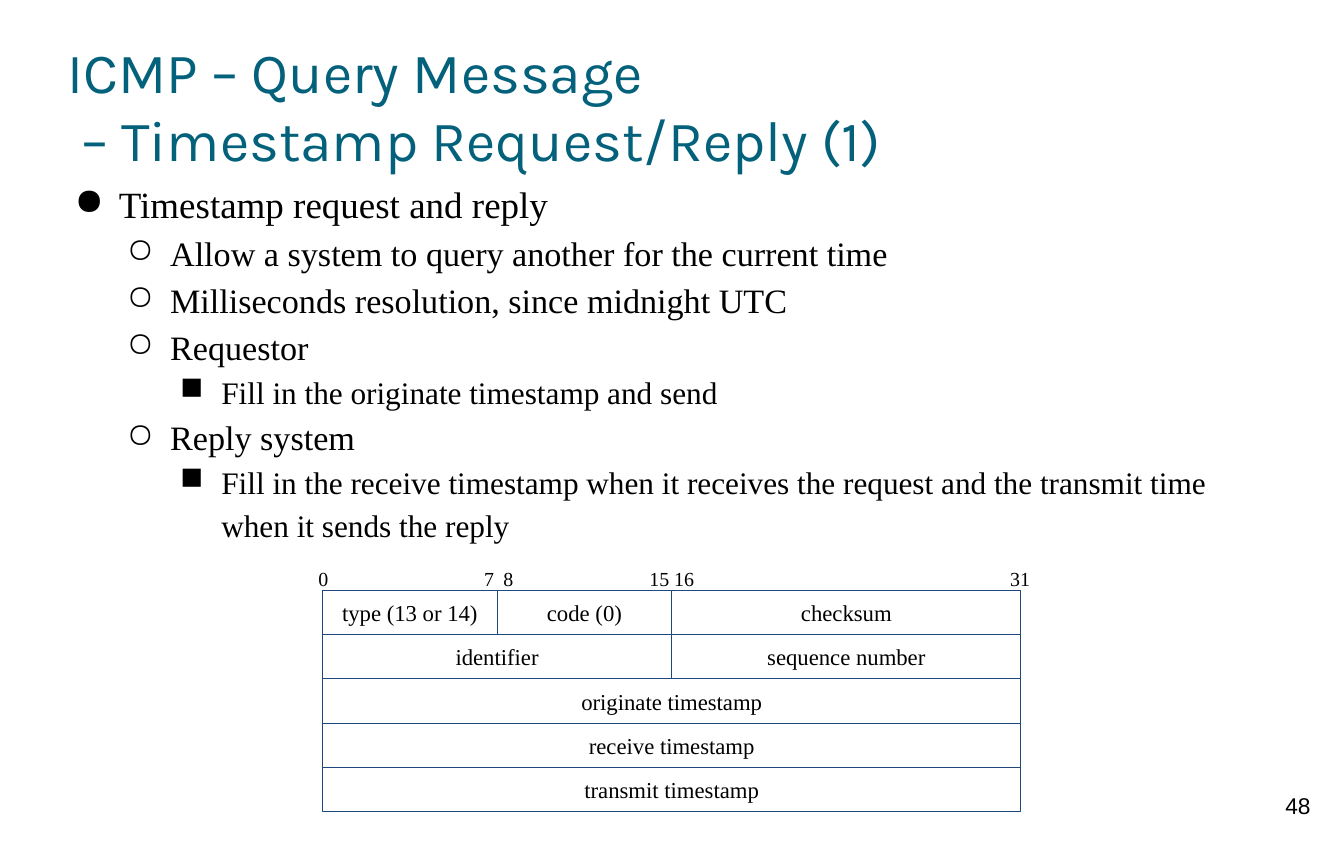
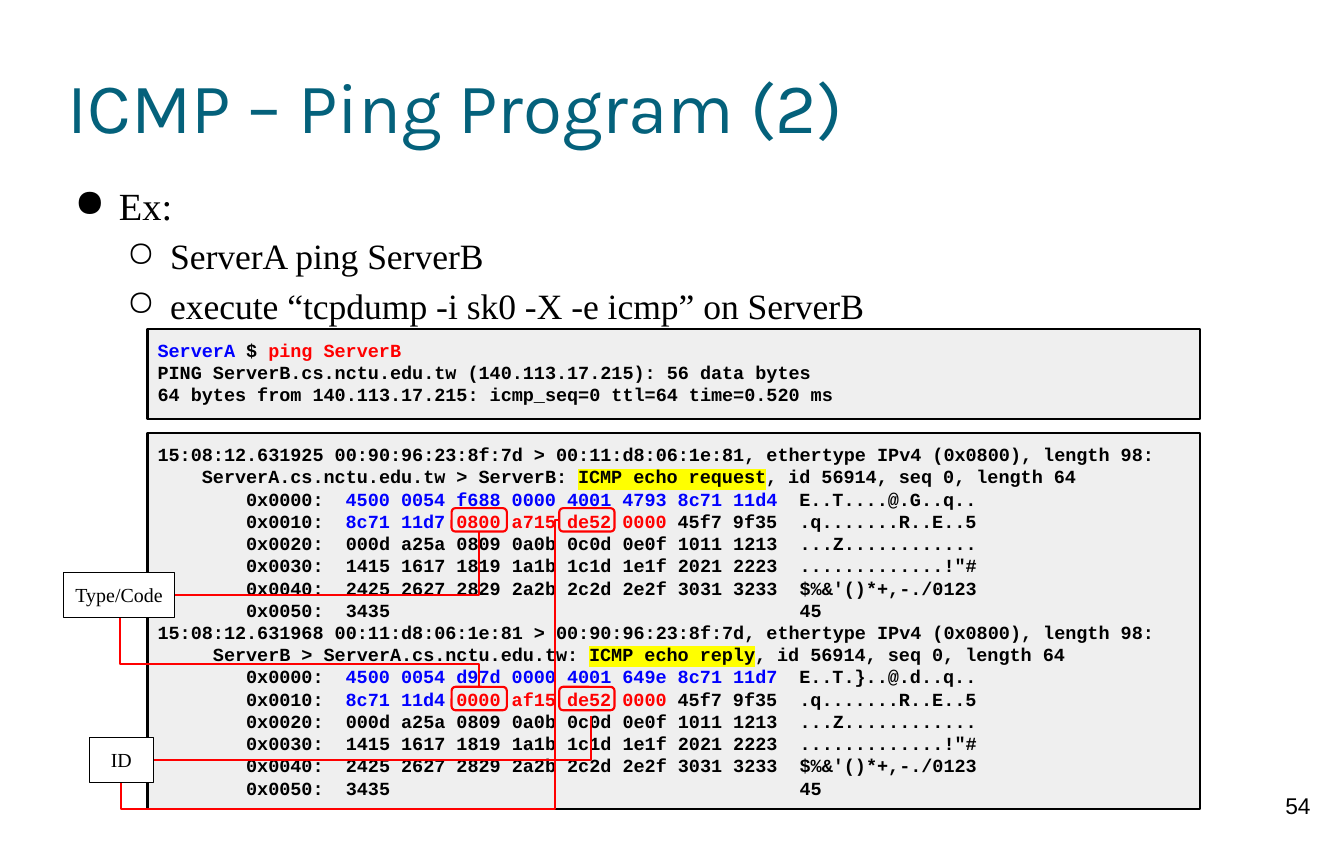
"""Builds two slides about ICMP timestamp messages and the ping program."""
from dataclasses import dataclass
from typing import NamedTuple, Optional

from lxml.etree import SubElement
from pptx import Presentation
from pptx.dml.color import RGBColor
from pptx.enum.shapes import MSO_CONNECTOR, MSO_SHAPE
from pptx.enum.text import MSO_ANCHOR, PP_ALIGN
from pptx.oxml.ns import qn
from pptx.util import Cm, Pt

BLACK, WHITE, TEAL, NAVY = "000000", "FFFFFF", "04617B", "1F497D"
RED, BLUE, YELLOW, GREY = "FF0000", "0000FF", "FFFF00", "EFEFEF"
SERIF, MONO, SANS, DISPLAY = "Times New Roman", "Courier New", "Arial", "Karla"
INSET = 0.25
DIAGRAM_LEFT, DIAGRAM_TOP, BIT_WIDTH, ROW_HEIGHT = 8.0, 14.63, 17.32 / 32, 1.1


class Area(NamedTuple):
    left: float
    top: float
    width: float
    height: float

    def lengths(self):
        return [Cm(value) for value in self]


class Span(NamedTuple):
    text: str
    color: str = BLACK
    highlight: Optional[str] = None


class Level(NamedTuple):
    bullet: str
    margin: float
    indent: float


class Item(NamedTuple):
    level: int
    text: str


class Field(NamedTuple):
    row: int
    first_bit: int
    bits: int
    text: str


class BitLabel(NamedTuple):
    center: float
    text: str


class Tag(NamedTuple):
    area: Area
    text: str


@dataclass(frozen=True)
class Style:
    font: str
    size: float
    color: str = BLACK
    bold: bool = False
    align: PP_ALIGN = PP_ALIGN.LEFT
    line_spacing: Optional[float] = None


@dataclass(frozen=True)
class Packet:
    heading: str
    route: str
    kind: str
    first_words: str
    first_ascii: str
    addresses: str
    icmp_words: str


@dataclass(frozen=True)
class Bend:
    area: Area
    preset: str
    rotation: int = 0
    flip: Optional[str] = None
    adjustments: tuple = ()


LEVELS = [Level("●", 1.27, -1.1), Level("○", 2.54, -1.07), Level("■", 3.81, -1.02)]
FIELD_STYLE = Style(SERIF, 16, align=PP_ALIGN.CENTER)
LABEL_STYLE = Style(SERIF, 14, align=PP_ALIGN.CENTER)
CODE_STYLE = Style(MONO, 13, bold=True)
NUMBER_STYLE = Style(SANS, 16, align=PP_ALIGN.CENTER)

TIMESTAMP_ITEMS = [
    Item(0, "Timestamp request and reply"),
    Item(1, "Allow a system to query another for the current time"),
    Item(1, "Milliseconds resolution, since midnight UTC"),
    Item(1, "Requestor"),
    Item(2, "Fill in the originate timestamp and send"),
    Item(1, "Reply system"),
    Item(2, "Fill in the receive timestamp when it receives the request and the transmit time "
            "when it sends the reply"),
]
PING_ITEMS = [
    Item(0, "Ex:"),
    Item(1, "ServerA ping ServerB"),
    Item(1, "execute “tcpdump -i sk0 -X -e icmp” on ServerB"),
]
FIELDS = [
    Field(0, 0, 8, "type (13 or 14)"),
    Field(0, 8, 8, "code (0)"),
    Field(0, 16, 16, "checksum"),
    Field(1, 0, 16, "identifier"),
    Field(1, 16, 16, "sequence number"),
    Field(2, 0, 32, "originate timestamp"),
    Field(3, 0, 32, "receive timestamp"),
    Field(4, 0, 32, "transmit timestamp"),
]
BIT_LABELS = [BitLabel(8.02, "0"), BitLabel(12.13, "7"), BitLabel(12.61, "8"),
              BitLabel(16.66, "15 16"), BitLabel(25.3, "31")]
PING_LINES = [
    [Span("ServerA ", BLUE), Span("$ "), Span("ping ServerB", RED)],
    [Span("PING ServerB.cs.nctu.edu.tw (140.113.17.215): 56 data bytes")],
    [Span("64 bytes from 140.113.17.215: icmp_seq=0 ttl=64 time=0.520 ms")],
]
PACKETS = [
    Packet("15:08:12.631925 00:90:96:23:8f:7d > 00:11:d8:06:1e:81",
           "    ServerA.cs.nctu.edu.tw > ServerB: ", "ICMP echo request",
           "4500 0054 f688 0000 4001 4793 8c71 11d4", "E..T....@.G..q..",
           "8c71 11d7 ", "0800 a715 de52 0000"),
    Packet("15:08:12.631968 00:11:d8:06:1e:81 > 00:90:96:23:8f:7d",
           "     ServerB > ServerA.cs.nctu.edu.tw: ", "ICMP echo reply",
           "4500 0054 d97d 0000 4001 649e 8c71 11d7", "E..T.}..@.d..q..",
           "8c71 11d4 ", "0000 af15 de52 0000"),
]
PAYLOAD = [
    "        0x0020:  000d a25a 0809 0a0b 0c0d 0e0f 1011 1213  ...Z............",
    "        0x0030:  1415 1617 1819 1a1b 1c1d 1e1f 2021 2223  .............!\"#",
    "        0x0040:  2425 2627 2829 2a2b 2c2d 2e2f 3031 3233  $%&'()*+,-./0123",
    "        0x0050:  3435                                     45",
]
BENDS = [
    Bend(Area(4.34, 13.18, 7.54, 1.57), "bentConnector2", flip="flipV"),
    Bend(Area(6.58, 11.71, 1.7, 8.92), "bentConnector3", 270, "flipH", (0.67,)),
    Bend(Area(8.69, 12.88, 1.09, 10.85), "bentConnector2", 90),
    Bend(Area(3.0, 12.9, 10.87, 6.5), "bentConnector4", 180, "flipV", (0.01, 1.1)),
]
TAGS = [Tag(Area(1.57, 14.2, 2.77, 1.12), "Type/Code"), Tag(Area(2.21, 18.29, 1.6, 1.12), "ID")]


def rgb(color: str) -> RGBColor:
    return RGBColor.from_string(color)


def style_paragraph(paragraph, style: Style) -> None:
    paragraph.alignment = style.align
    if style.line_spacing:
        paragraph.line_spacing = style.line_spacing
    font = paragraph.font
    font.name, font.size, font.bold = style.font, Pt(style.size), style.bold
    font.color.rgb = rgb(style.color)


def add_span(paragraph, span: Span) -> None:
    run = paragraph.add_run()
    run.text = span.text
    if span.color != BLACK or span.highlight:
        run.font.color.rgb = rgb(span.color)
    if span.highlight:
        highlight = SubElement(run.font._element, qn("a:highlight"))
        SubElement(highlight, qn("a:srgbClr"), val=span.highlight)


def fill_text(box, lines: list, style: Style, inset: float = INSET,
              anchor=MSO_ANCHOR.TOP, wrap: bool = True) -> None:
    frame = box.text_frame
    frame.word_wrap, frame.vertical_anchor = wrap, anchor
    frame.margin_left = frame.margin_right = Cm(inset)
    frame.margin_top = frame.margin_bottom = Cm(inset)
    for index, spans in enumerate(lines):
        paragraph = frame.add_paragraph() if index else frame.paragraphs[0]
        style_paragraph(paragraph, style)
        for span in spans:
            add_span(paragraph, span)


def add_shape(page, area: Area, line: str, weight: float, fill: Optional[str] = None,
              preset=MSO_SHAPE.RECTANGLE):
    shape = page.shapes.add_shape(preset, *area.lengths())
    shape.shadow.inherit = False
    shape.line.color.rgb, shape.line.width = rgb(line), Pt(weight)
    if fill:
        shape.fill.solid()
        shape.fill.fore_color.rgb = rgb(fill)
    else:
        shape.fill.background()
    return shape


def add_bend(page, bend: Bend) -> None:
    left, top, width, height = bend.area.lengths()
    connector = page.shapes.add_connector(MSO_CONNECTOR.ELBOW, left, top, left + width, top + height)
    connector.line.color.rgb, connector.line.width = rgb(RED), Pt(1.5)
    properties = connector._element.spPr
    SubElement(properties, qn("a:effectLst"))
    transform = properties.find(qn("a:xfrm"))
    transform.set("rot", str(bend.rotation * 60000))
    if bend.flip:
        transform.set(bend.flip, "1")
    geometry = properties.find(qn("a:prstGeom"))
    geometry.set("prst", bend.preset)
    for number, value in enumerate(bend.adjustments, 1):
        SubElement(geometry.find(qn("a:avLst")), qn("a:gd"), name=f"adj{number}",
                   fmla=f"val {round(value * 100000)}")


def add_bullets(page, items: list, sizes: list, height: float) -> None:
    box = page.shapes.add_textbox(*Area(1.68, 4.34, 30.07, height).lengths())
    fill_text(box, [[Span(item.text)] for item in items], Style(SERIF, sizes[0]), inset=0)
    for paragraph, item in zip(box.text_frame.paragraphs, items):
        level = LEVELS[item.level]
        paragraph.level = item.level
        paragraph.line_spacing = 1.15
        paragraph.font.size = Pt(sizes[item.level])
        properties = paragraph._p.get_or_add_pPr()
        properties.set("marL", str(Cm(level.margin)))
        properties.set("indent", str(Cm(level.indent)))
        bullet = SubElement(properties, qn("a:buChar"), char=level.bullet)
        properties.find(qn("a:defRPr")).addprevious(bullet)


def add_page(deck, title: list, title_size: float, number: int):
    page = deck.slides.add_slide(deck.slide_layouts[6])
    box = page.shapes.add_textbox(*Area(1.68, 0.84, 30, 3.51).lengths())
    fill_text(box, [[Span(line, TEAL)] for line in title], Style(DISPLAY, title_size, TEAL),
              inset=0, anchor=MSO_ANCHOR.MIDDLE)
    box = page.shapes.add_textbox(*Area(31.19, 19.38, 2, 1.6).lengths())
    fill_text(box, [[Span(str(number))]], NUMBER_STYLE)
    return page


def packet_lines(packet: Packet) -> list:
    return [
        [Span(f"{packet.heading}, ethertype IPv4 (0x0800), length 98:")],
        [Span(packet.route), Span(packet.kind, highlight=YELLOW),
         Span(", id 56914, seq 0, length 64")],
        [Span("        0x0000:  "), Span(packet.first_words, BLUE), Span(f"  {packet.first_ascii}")],
        [Span("        0x0010:  "), Span(packet.addresses, BLUE), Span(packet.icmp_words, RED),
         Span(" 45f7 9f35  .q.......R..E..5")],
        *[[Span(line)] for line in PAYLOAD],
    ]


def build_timestamp_page(deck) -> None:
    page = add_page(deck, ["ICMP – Query Message", " – Timestamp Request/Reply (1)"], 40, 48)
    add_bullets(page, TIMESTAMP_ITEMS, [26, 24, 22], 9.09)
    for field in FIELDS:
        area = Area(DIAGRAM_LEFT + field.first_bit * BIT_WIDTH, DIAGRAM_TOP + field.row * ROW_HEIGHT,
                    field.bits * BIT_WIDTH, ROW_HEIGHT)
        fill_text(add_shape(page, area, NAVY, 0.75), [[Span(field.text)]], FIELD_STYLE,
                  anchor=MSO_ANCHOR.MIDDLE)
    for label in BIT_LABELS:
        box = page.shapes.add_textbox(*Area(label.center - 0.84, 13.79, 1.68, 1.12).lengths())
        fill_text(box, [[Span(label.text)]], LABEL_STYLE)


def build_ping_page(deck) -> None:
    page = add_page(deck, ["ICMP – Ping Program (2)"], 50, 54)
    add_bullets(page, PING_ITEMS, [27, 25], 15.72)
    dump = [line for packet in PACKETS for line in packet_lines(packet)]
    for top, height, lines in [(8.15, 2.24, PING_LINES), (10.74, 9.32, dump)]:
        panel = add_shape(page, Area(3.66, top, 26.11, height), BLACK, 1.5, GREY)
        fill_text(panel, lines, CODE_STYLE)
    for bend in BENDS:
        add_bend(page, bend)
    for left in (11.2, 13.87):
        for top in (12.6, 17.03):
            add_shape(page, Area(left, top, 1.37, 0.58), RED, 1.5, preset=MSO_SHAPE.ROUNDED_RECTANGLE)
    for tag in TAGS:
        fill_text(add_shape(page, tag.area, BLACK, 0.75, WHITE), [[Span(tag.text)]], LABEL_STYLE)


def main() -> None:
    deck = Presentation()
    deck.slide_width, deck.slide_height = Cm(33.33), Cm(21)
    build_timestamp_page(deck)
    build_ping_page(deck)
    deck.save("out.pptx")


if __name__ == "__main__":
    main()
